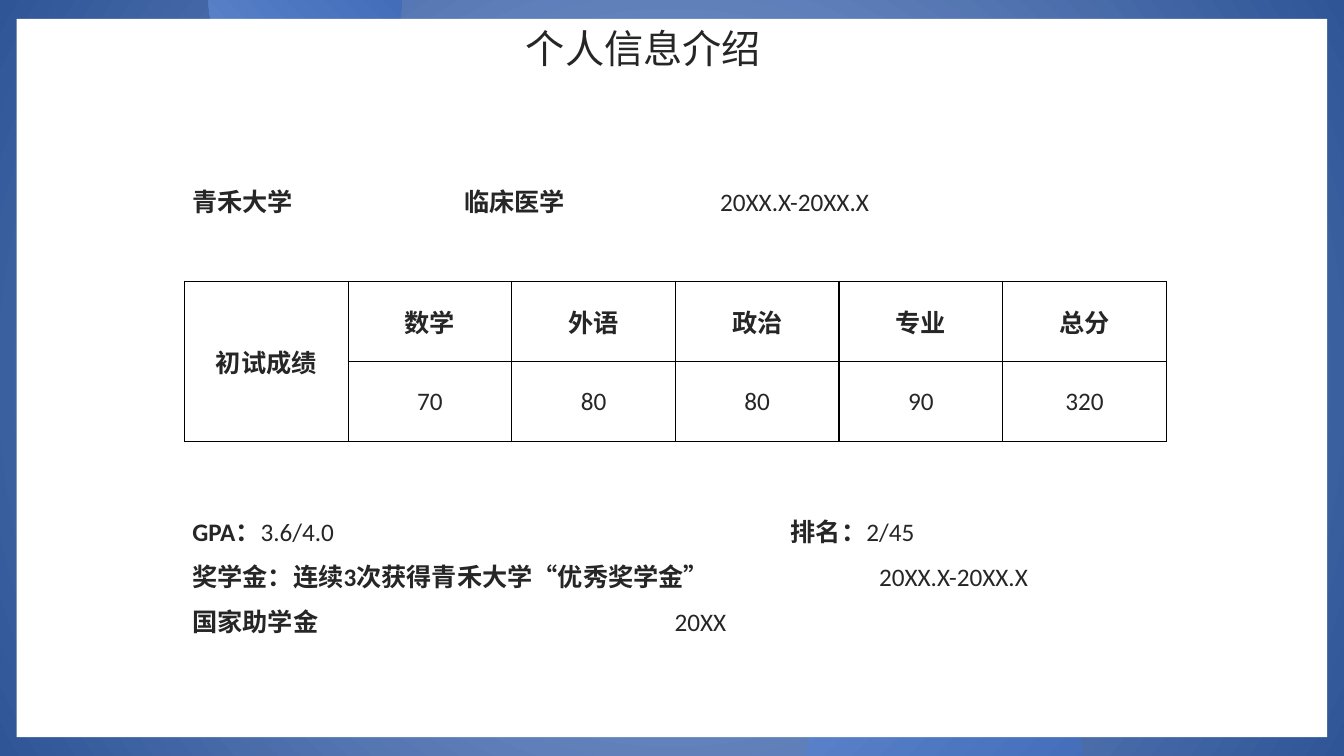
from dataclasses import dataclass

from lxml.etree import SubElement
from pptx import Presentation
from pptx.dml.color import RGBColor
from pptx.enum.lang import MSO_LANGUAGE_ID
from pptx.enum.shapes import MSO_SHAPE
from pptx.enum.text import MSO_ANCHOR, MSO_AUTO_SIZE, PP_ALIGN
from pptx.oxml.ns import qn
from pptx.util import Pt

COLORS = {
    "panel": "FFFFFF",
    "text": "262626",
    "border": "000000",
    "glow": "8FAADC",
    "edge": "2F5597",
    "disc_light": "6087CE",
    "disc_dark": "3864B2",
}
FONT = "Calibri"
SLIDE_WIDTH, SLIDE_HEIGHT = 960, 540


@dataclass(frozen=True)
class Box:
    left: float
    top: float
    width: float
    height: float

    def lengths(self) -> tuple:
        return Pt(self.left), Pt(self.top), Pt(self.width), Pt(self.height)


@dataclass(frozen=True)
class Phrase:
    text: str
    bold: bool = False


@dataclass(frozen=True)
class Line:
    phrases: tuple[Phrase, ...]
    tabs: tuple[float, ...] = ()


@dataclass(frozen=True)
class Disc:
    box: Box
    rotation: float = 0


def color(name: str) -> RGBColor:
    return RGBColor.from_string(COLORS[name])


def write_text(frame, lines: list[Line], *, size: float = 18,
               align=PP_ALIGN.JUSTIFY, spacing=None) -> None:
    for index, line in enumerate(lines):
        paragraph = frame.add_paragraph() if index else frame.paragraphs[0]
        paragraph.alignment = align
        if spacing is not None:
            paragraph.line_spacing = spacing
        if line.tabs:
            tab_list = SubElement(paragraph._p.get_or_add_pPr(), qn("a:tabLst"))
            for position in line.tabs:
                SubElement(tab_list, qn("a:tab"), pos=str(Pt(position)), algn="l")
        for phrase in line.phrases:
            run = paragraph.add_run()
            run.text = phrase.text
            run.font.name = FONT
            run.font.size = Pt(size)
            run.font.bold = phrase.bold
            run.font.color.rgb = color("text")
            run.font.language_id = MSO_LANGUAGE_ID.SIMPLIFIED_CHINESE


def add_text_box(slide, box: Box, lines: list[Line], **text_format) -> None:
    frame = slide.shapes.add_textbox(*box.lengths()).text_frame
    frame.word_wrap = True
    frame.auto_size = MSO_AUTO_SIZE.SHAPE_TO_FIT_TEXT
    write_text(frame, lines, **text_format)


def add_plain_shape(slide, kind, box: Box):
    shape = slide.shapes.add_shape(kind, *box.lengths())
    shape.shadow.inherit = False
    shape.line.fill.background()
    return shape


def fill_gradient(shape, first: str, last: str) -> None:
    shape.fill.gradient()
    shape.fill.gradient_angle = 315
    for stop, name in zip(shape.fill.gradient_stops, (first, last)):
        stop.color.rgb = color(name)


def make_radial(shape) -> None:
    gradient = shape._element.spPr.find(qn("a:gradFill"))
    gradient.remove(gradient.find(qn("a:lin")))
    circle = SubElement(gradient, qn("a:path"))
    circle.set("path", "circle")
    SubElement(circle, qn("a:fillToRect"), l="50000", t="50000", r="50000", b="50000")


def style_cell(cell) -> None:
    properties = cell._tc.get_or_add_tcPr()
    for side in ("lnL", "lnR", "lnT", "lnB"):
        border = SubElement(properties, qn(f"a:{side}"), w=str(Pt(1)))
        solid = SubElement(border, qn("a:solidFill"))
        SubElement(solid, qn("a:srgbClr"), val=COLORS["border"])
    cell.fill.solid()
    cell.fill.fore_color.rgb = color("panel")
    cell.vertical_anchor = MSO_ANCHOR.MIDDLE


def add_scores(slide, box: Box, heading: str, scores: dict[str, str]) -> None:
    columns = len(scores) + 1
    table = slide.shapes.add_table(2, columns, *box.lengths()).table
    table.first_row = table.horz_banding = False
    for column in table.columns:
        column.width = Pt(box.width / columns)
    for row in table.rows:
        row.height = Pt(box.height / 2)
    for cell in table.iter_cells():
        style_cell(cell)
    table.cell(0, 0).merge(table.cell(1, 0))
    entries = {(0, 0): Phrase(heading, bold=True)}
    for column, (subject, score) in enumerate(scores.items(), start=1):
        entries[0, column] = Phrase(subject, bold=True)
        entries[1, column] = Phrase(score)
    for position, phrase in entries.items():
        write_text(table.cell(*position).text_frame, [Line((phrase,))],
                   align=PP_ALIGN.CENTER)


def main() -> None:
    deck = Presentation()
    deck.slide_width, deck.slide_height = Pt(SLIDE_WIDTH), Pt(SLIDE_HEIGHT)
    slide = deck.slides.add_slide(deck.slide_layouts[6])

    # Blue frame with two discs, behind a white panel
    backdrop = add_plain_shape(slide, MSO_SHAPE.RECTANGLE,
                               Box(0, 0, SLIDE_WIDTH, SLIDE_HEIGHT))
    fill_gradient(backdrop, "glow", "edge")
    make_radial(backdrop)
    for disc in (Disc(Box(149, -69, 138, 138), rotation=270),
                 Disc(Box(575, 454, 199.5, 199.5))):
        ellipse = add_plain_shape(slide, MSO_SHAPE.OVAL, disc.box)
        ellipse.rotation = disc.rotation
        fill_gradient(ellipse, "disc_light", "disc_dark")
    panel = add_plain_shape(slide, MSO_SHAPE.RECTANGLE, Box(12, 13.5, 936, 513))
    panel.fill.solid()
    panel.fill.fore_color.rgb = color("panel")

    # Title
    add_text_box(slide, Box(368.6, 13.5, 221, 41),
                 [Line((Phrase("个人信息介绍"),))], size=28)

    # Exam scores
    add_scores(slide, Box(131.8, 200.9, 701.4, 114.6), "初试成绩",
               {"数学": "70", "外语": "80", "政治": "80", "专业": "90", "总分": "320"})

    # University, major and period
    add_text_box(slide, Box(130.3, 126, 701.4, 31), [
        Line((Phrase("青禾大学\t临床医学\t", bold=True), Phrase("20XX.X-20XX.X")),
             tabs=(194.3, 377)),
    ], spacing=Pt(25))

    # Grades and scholarships
    add_text_box(slide, Box(130.3, 354.2, 701.4, 105), [
        Line((Phrase("GPA：", bold=True), Phrase("3.6/4.0\t"),
              Phrase("排名：", bold=True), Phrase("2/45")), tabs=(427.5,)),
        Line((Phrase("奖学金：连续3次获得青禾大学“优秀奖学金”\t", bold=True),
              Phrase("20XX.X-20XX.X")), tabs=(490.5,)),
        Line((Phrase("国家助学金\t", bold=True), Phrase("20XX")), tabs=(344.5,)),
    ], spacing=1.5)

    deck.save("out.pptx")


if __name__ == "__main__":
    main()
